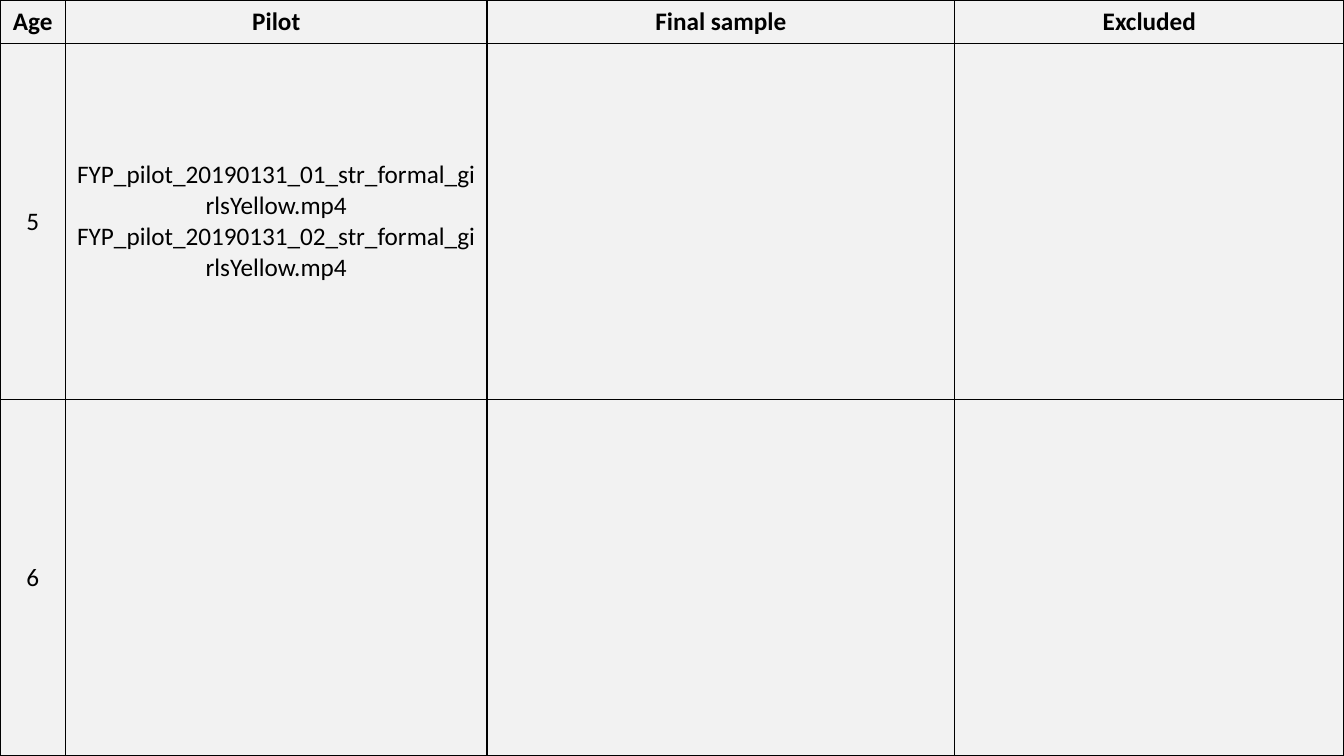
from dataclasses import dataclass

import lxml.etree
import pptx
import pptx.dml.color
import pptx.enum.text
import pptx.oxml.ns
import pptx.table
import pptx.util


@dataclass(frozen=True)
class Theme:
    font: str = "Calibri"
    text_size: float = 18
    text_color: str = "000000"
    background: str = "F2F2F2"
    border_color: str = "000000"
    border_width: float = 1


@dataclass(frozen=True)
class Column:
    heading: str
    width: float


@dataclass(frozen=True)
class AgeGroup:
    age: str
    pilot: tuple[str, ...] = ()
    final_sample: tuple[str, ...] = ()
    excluded: tuple[str, ...] = ()


THEME = Theme()
SLIDE_WIDTH, SLIDE_HEIGHT = 13.33, 7.5
HEADING_HEIGHT = 0.43
COLUMNS = [
    Column("Age", 0.65),
    Column("Pilot", 4.18),
    Column("Final sample", 4.64),
    Column("Excluded", 3.86),
]
AGE_GROUPS = [
    AgeGroup(
        "5",
        pilot=(
            "FYP_pilot_20190131_01_str_formal_girlsYellow.mp4",
            "FYP_pilot_20190131_02_str_formal_girlsYellow.mp4",
        ),
    ),
    AgeGroup("6"),
]


def write_text(cell: pptx.table._Cell, lines: tuple[str, ...], *, bold: bool = False) -> None:
    cell.text = "\n".join(lines)
    cell.vertical_anchor = pptx.enum.text.MSO_ANCHOR.MIDDLE
    for paragraph in cell.text_frame.paragraphs:
        paragraph.alignment = pptx.enum.text.PP_ALIGN.CENTER
        for run in paragraph.runs:
            run.font.name = THEME.font
            run.font.size = pptx.util.Pt(THEME.text_size)
            run.font.bold = bold
            run.font.color.rgb = pptx.dml.color.RGBColor.from_string(THEME.text_color)


def draw_borders(cell: pptx.table._Cell) -> None:
    qualified = pptx.oxml.ns.qn
    properties = cell._tc.get_or_add_tcPr()
    for side in ("lnL", "lnR", "lnT", "lnB"):
        line = lxml.etree.SubElement(
            properties, qualified(f"a:{side}"), w=str(pptx.util.Pt(THEME.border_width))
        )
        fill = lxml.etree.SubElement(line, qualified("a:solidFill"))
        lxml.etree.SubElement(fill, qualified("a:srgbClr"), val=THEME.border_color)


def add_sample_table(slide: pptx.slide.Slide) -> None:
    inches = pptx.util.Inches
    table = slide.shapes.add_table(
        len(AGE_GROUPS) + 1, len(COLUMNS), 0, 0, inches(SLIDE_WIDTH), inches(SLIDE_HEIGHT)
    ).table
    table.first_row = False
    table.horz_banding = False
    for table_column, column in zip(table.columns, COLUMNS):
        table_column.width = inches(column.width)

    group_height = (SLIDE_HEIGHT - HEADING_HEIGHT) / len(AGE_GROUPS)
    rows = [tuple((column.heading,) for column in COLUMNS)]
    rows += [
        ((group.age,), group.pilot, group.final_sample, group.excluded) for group in AGE_GROUPS
    ]
    for row_index, contents in enumerate(rows):
        is_heading = row_index == 0
        table.rows[row_index].height = inches(HEADING_HEIGHT if is_heading else group_height)
        for cell, lines in zip(table.rows[row_index].cells, contents):
            write_text(cell, lines, bold=is_heading)
            draw_borders(cell)
            cell.fill.background()


def main() -> None:
    presentation = pptx.Presentation()
    presentation.slide_width = pptx.util.Inches(SLIDE_WIDTH)
    presentation.slide_height = pptx.util.Inches(SLIDE_HEIGHT)
    slide = presentation.slides.add_slide(presentation.slide_layouts[6])
    slide.background.fill.solid()
    slide.background.fill.fore_color.rgb = pptx.dml.color.RGBColor.from_string(THEME.background)
    add_sample_table(slide)
    presentation.save("out.pptx")


if __name__ == "__main__":
    main()
